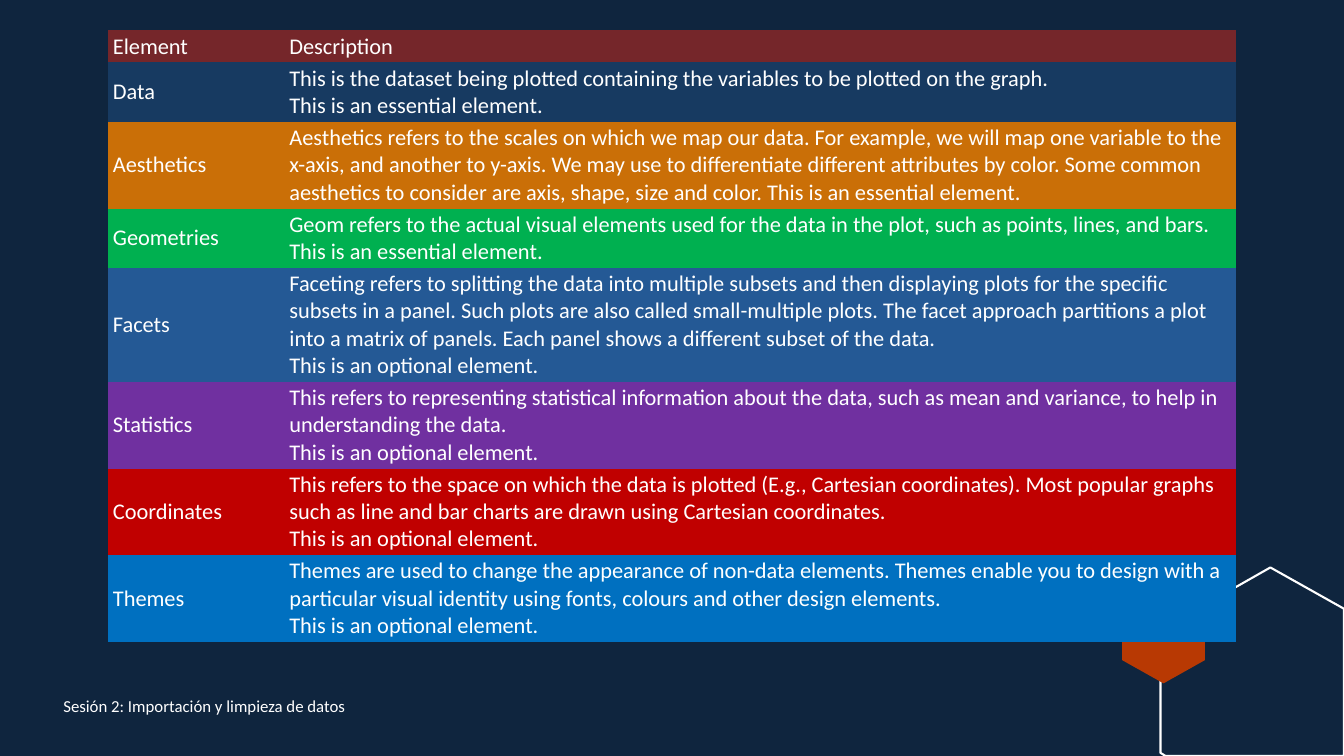
from dataclasses import dataclass

from pptx import Presentation
from pptx import util as u
from pptx.dml.color import RGBColor
from pptx.enum import text
from pptx.oxml import ns


@dataclass(frozen=True)
class Theme:
    font: str = "Calibri"
    background: str = "0F253E"
    ink: str = "FFFFFF"
    accent: str = "B83903"
    header: str = "75262A"
    table_size: int = 16
    footer_size: int = 12
    outline_width: float = 1.5
    line_height: float = 0.27  # one line of table text, in inches
    cell_side: float = 0.05
    cell_edge: float = 0.02
    plain_table: str = "{2D5ABB26-0587-4C30-8999-92F81FD0307C}"


class SlideBuilder:
    def __init__(self, page, theme):
        self.page = page
        self.theme = theme
        self.paint(page.background.fill, theme.background)

    def paint(self, fill, colour):
        fill.solid()
        fill.fore_color.rgb = RGBColor.from_string(colour)

    def add_text(self, frame, paragraphs, size):
        frame.word_wrap = True
        for index, words in enumerate(paragraphs):
            para = frame.paragraphs[0] if index == 0 else frame.add_paragraph()
            span = para.add_run()
            span.text = words
            span.font.name = self.theme.font
            span.font.size = u.Pt(size)
            span.font.color.rgb = RGBColor.from_string(self.theme.ink)

    def polygon(self, points, fill=None, line=None):
        corners = [(u.Inches(x), u.Inches(y)) for x, y in points]
        builder = self.page.shapes.build_freeform(*corners[0])
        builder.add_line_segments(corners[1:], close=True)
        shape = builder.convert_to_shape()
        shape.shadow.inherit = False
        if fill:
            self.paint(shape.fill, fill)
        else:
            shape.fill.background()
        if line:
            self.paint(shape.line.fill, line)
            shape.line.width = u.Pt(self.theme.outline_width)
        else:
            shape.line.fill.background()

    def label(self, left, top, width, height, words):
        box = self.page.shapes.add_textbox(*map(u.Inches, (left, top, width, height)))
        box.text_frame.vertical_anchor = text.MSO_ANCHOR.MIDDLE
        self.add_text(box.text_frame, [words], self.theme.footer_size)

    def table(self, left, top, widths, rows):
        theme = self.theme
        heights = [lines * theme.line_height + 0.05 for _, lines, _, _ in rows]
        holder = self.page.shapes.add_table(
            len(rows), len(widths), u.Inches(left), u.Inches(top),
            u.Inches(sum(widths)), u.Inches(sum(heights)))
        for style in holder.element.iter(ns.qn("a:tableStyleId")):
            style.text = theme.plain_table
        grid = holder.table
        grid.first_row = grid.horz_banding = False
        for column, width in zip(grid.columns, widths):
            column.width = u.Inches(width)
        for row, height, (colour, _, name, description) in zip(grid.rows, heights, rows):
            row.height = u.Inches(height)
            for cell, paragraphs in zip(row.cells, ([name], description)):
                self.paint(cell.fill, colour)
                cell.vertical_anchor = text.MSO_ANCHOR.MIDDLE
                cell.margin_left = cell.margin_right = u.Inches(theme.cell_side)
                cell.margin_top = cell.margin_bottom = u.Inches(theme.cell_edge)
                self.add_text(cell.text_frame, paragraphs, theme.table_size)


ESSENTIAL = "This is an essential element."
OPTIONAL = "This is an optional element."

# Fill, lines of text, element, description paragraphs
ELEMENTS = [
    (Theme.header, 1, "Element", ["Description"]),
    ("173A61", 2, "Data", [
        "This is the dataset being plotted containing the variables to be plotted "
        "on the graph.", ESSENTIAL]),
    ("CA6F07", 3, "Aesthetics", [
        "Aesthetics refers to the scales on which we map our data. For example, we will "
        "map one variable to the x-axis, and another to y-axis. We may use to "
        "differentiate different attributes by color. Some common aesthetics to consider "
        "are axis, shape, size and color. " + ESSENTIAL]),
    ("00B050", 2, "Geometries", [
        "Geom refers to the actual visual elements used for the data in the plot, such "
        "as points, lines, and bars. " + ESSENTIAL]),
    ("245995", 4, "Facets", [
        "Faceting refers to splitting the data into multiple subsets and then displaying "
        "plots for the specific subsets in a panel. Such plots are also called "
        "small-multiple plots. The facet approach partitions a plot into a matrix of "
        "panels. Each panel shows a different subset of the data.", OPTIONAL]),
    ("7030A0", 3, "Statistics", [
        "This refers to representing statistical information about the data, such as "
        "mean and variance, to help in understanding the data.", OPTIONAL]),
    ("C00000", 3, "Coordinates", [
        "This refers to the space on which the data is plotted (E.g., Cartesian "
        "coordinates). Most popular graphs such as line and bar charts are drawn using "
        "Cartesian coordinates.", OPTIONAL]),
    ("0070C0", 3, "Themes", [
        "Themes are used to change the appearance of non-data elements. Themes enable "
        "you to design with a particular visual identity using fonts, colours and other "
        "design elements.", OPTIONAL]),
]


def main():
    deck = Presentation()
    deck.slide_width, deck.slide_height = u.Inches(13.33), u.Inches(7.5)
    theme = Theme()
    slide = SlideBuilder(deck.slides.add_slide(deck.slide_layouts[6]), theme)

    # Corner hexagons
    slide.polygon([(12.6, 5.63), (13.33, 6.04), (13.33, 7.5), (11.56, 7.5),
                   (11.51, 7.47), (11.51, 6.25)], line=theme.ink)
    slide.polygon([(11.54, 5.85), (11.95, 6.08), (11.95, 6.55), (11.54, 6.78),
                   (11.13, 6.55), (11.13, 6.08)], fill=theme.accent)

    # Footer
    slide.label(0.53, 6.8, 4.5, 0.4, "Sesión 2: Importación y limpieza de datos")

    # Table of plot elements
    slide.table(1.07, 0.3, (1.75, 9.44), ELEMENTS)

    deck.save("out.pptx")


if __name__ == "__main__":
    main()
